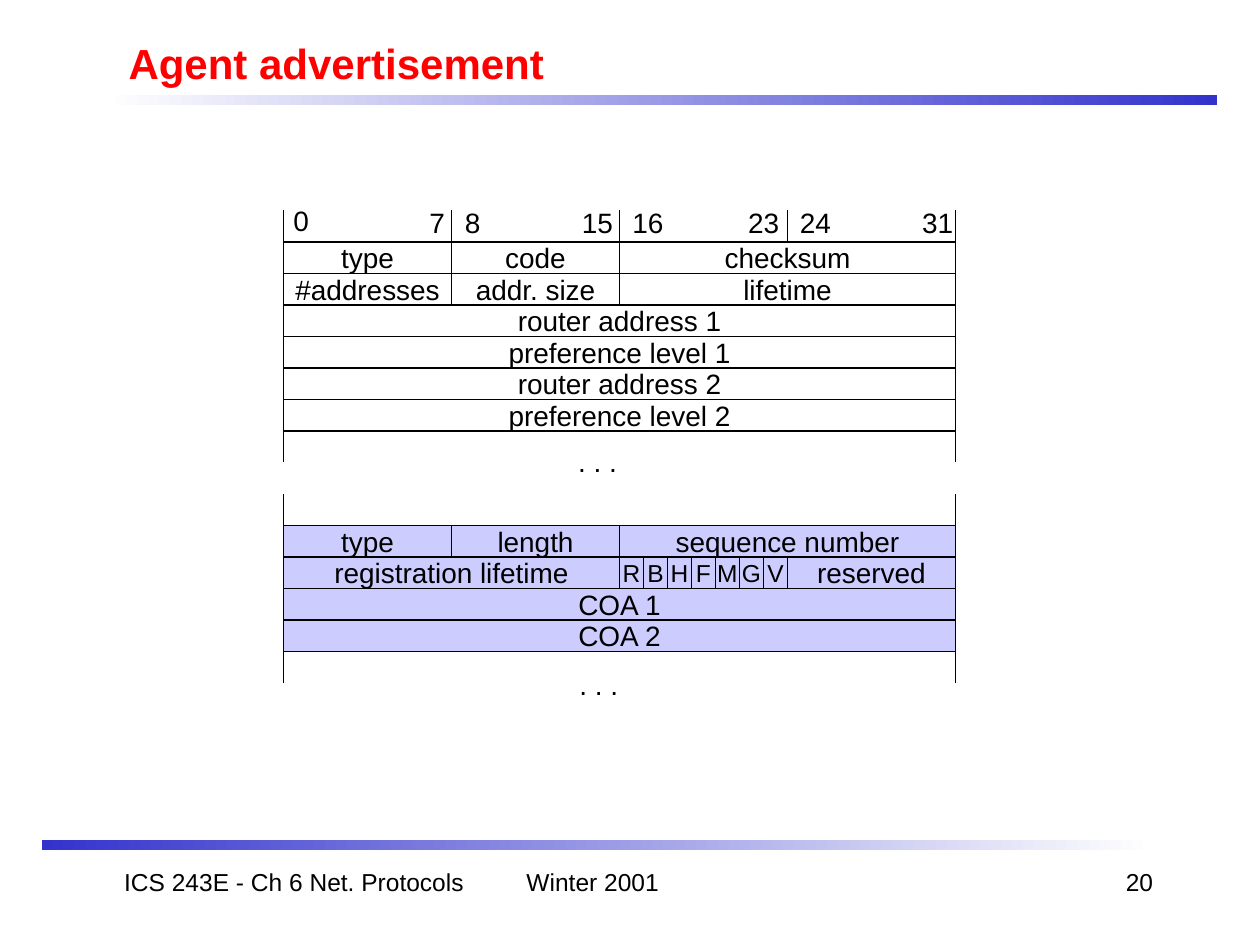
from pptx import Presentation
from pptx import util as u
from pptx.dml.color import RGBColor
from pptx.enum import shapes, text
from pptx.oxml import ns, xmlchemy

BLACK, WHITE, RED, BLUE, LILAC = "000000", "FFFFFF", "FF0000", "3333CC", "CCCCFF"
LEFT, TOP = 2.25, 1.92      # corner of the first header field
BIT, ROW = 16 / 96, 0.25    # width of one bit, height of one word
WORD = 32
FLAGS = "RBHFMGV"
ALIGN = text.PP_ALIGN


def rgb(value):
    return RGBColor.from_string(value)


def write(sp, words, size=16, color=BLACK, bold=False, align=ALIGN.LEFT,
          anchor=text.MSO_ANCHOR.TOP, wrap=False):
    tf = sp.text_frame
    tf.word_wrap = wrap
    tf.auto_size = text.MSO_AUTO_SIZE.NONE
    tf.vertical_anchor = anchor
    p = tf.paragraphs[0]
    p.alignment = align
    r = p.add_run()
    r.text = words
    r.font.name, r.font.size, r.font.bold = "Arial", u.Pt(size), bold
    r.font.color.rgb = rgb(color)


class PacketSlide:
    def __init__(self, prs):
        self.s = prs.slides.add_slide(prs.slide_layouts[5])
        self.line_width = u.Pt(0.75)

    def title(self, words):
        sp = self.s.shapes.title
        sp.left, sp.top = u.Inches(0.92), u.Inches(0.25)
        sp.width, sp.height = u.Inches(8.5), u.Inches(0.5)
        write(sp, words, size=24, color=RED, bold=True,
              anchor=text.MSO_ANCHOR.MIDDLE, wrap=True)

    def rect(self, x, y, w, h, parent=None):
        sp = (parent or self.s).shapes.add_shape(
            shapes.MSO_SHAPE.RECTANGLE, *map(u.Inches, (x, y, w, h)))
        sp.shadow.inherit = False
        return sp

    def bar(self, x, y, start, end):
        """Rule that fades from the start colour on its left to the end colour."""
        sp = self.rect(x, y, 8.83, 0.08)
        sp.line.fill.background()
        sp.fill.gradient()
        sp.fill.gradient_angle = 0
        for stop, color, place in zip(sp.fill.gradient_stops, (start, end), (0, 1)):
            stop.color.rgb = rgb(color)
            stop.position = place

    def field(self, words, row, bit, bits, fill, size=16, parent=None):
        sp = self.rect(LEFT + bit * BIT, TOP + row * ROW, bits * BIT, ROW, parent)
        sp.fill.solid()
        sp.fill.fore_color.rgb = rgb(fill)
        sp.line.color.rgb = rgb(BLACK)
        sp.line.width = self.line_width
        write(sp, words, size=size, align=ALIGN.CENTER,
              anchor=text.MSO_ANCHOR.MIDDLE)

    def fields(self, first_row, rows, fill):
        """Stack words, each a list of (name, first bit, bit count)."""
        for row, names in enumerate(rows, first_row):
            for name, bit, bits in names:
                self.field(name, row, bit, bits, fill)

    def flags(self, row, bit, bits, fill):
        group = self.s.shapes.add_group_shape()
        width = bits / len(FLAGS)
        for i, flag in enumerate(FLAGS):
            self.field(flag, row, bit + i * width, width, fill, 14, group)

    def tick(self, row, bit):
        """Vertical line one row high at a bit boundary."""
        x, y = u.Inches(LEFT + bit * BIT), TOP + row * ROW
        line = self.s.shapes.add_connector(
            shapes.MSO_CONNECTOR.STRAIGHT, x, u.Inches(y), x, u.Inches(y + ROW))
        line.line.color.rgb = rgb(BLACK)
        line.line.width = self.line_width
        line._element.spPr.append(xmlchemy.OxmlElement("a:effectLst"))

    def label(self, words, x, y, w, h=0.37, **style):
        sp = self.s.shapes.add_textbox(*map(u.Inches, (x, y, w, h)))
        write(sp, words, **style)


def main():
    prs = Presentation()
    prs.slide_width, prs.slide_height = u.Inches(10), u.Inches(7.5)
    page = PacketSlide(prs)
    page.bar(0.83, 0.75, WHITE, BLUE)
    page.bar(0.33, 6.67, BLUE, WHITE)
    page.title("Agent advertisement")

    page.fields(0, [
        [("type", 0, 8), ("code", 8, 8), ("checksum", 16, 16)],
        [("#addresses", 0, 8), ("addr. size", 8, 8), ("lifetime", 16, 16)],
        [("router address 1", 0, WORD)],
        [("preference level 1", 0, WORD)],
        [("router address 2", 0, WORD)],
        [("preference level 2", 0, WORD)],
    ], WHITE)
    page.fields(9, [
        [("type", 0, 8), ("length", 8, 8), ("sequence number", 16, 16)],
        [("registration lifetime", 0, 16), ("reserved", 24, 8)],
        [("COA 1", 0, WORD)],
        [("COA 2", 0, WORD)],
    ], LILAC)
    page.flags(10, 16, 8, LILAC)

    for bit in range(0, WORD + 1, 8):
        page.tick(-1, bit)
    for row in (6, 8, 13):
        for bit in (0, WORD):
            page.tick(row, bit)

    page.label("0", 2.23, 1.57, 0.32)
    for number, x in ((7, 3.31), (8, 3.59), (15, 4.52), (16, 4.92),
                      (23, 5.84), (24, 6.25), (31, 7.22)):
        page.label(str(number), x, 1.58, 0.32 if number < 10 else 0.44)
    page.label(". . .", 4.49, 3.48, 0.57)
    page.label(". . .", 4.5, 5.25, 0.57)

    for words, x, w, align in (
            ("ICS 243E - Ch 6 Net. Protocols", 0.75, 3.17, ALIGN.CENTER),
            ("Winter 2001", 4.08, 2.08, ALIGN.LEFT),
            ("20", 7.17, 2.08, ALIGN.RIGHT)):
        page.label(words, x, 6.83, w, 0.5, size=14, align=align, wrap=True)

    prs.save("out.pptx")


if __name__ == "__main__":
    main()
